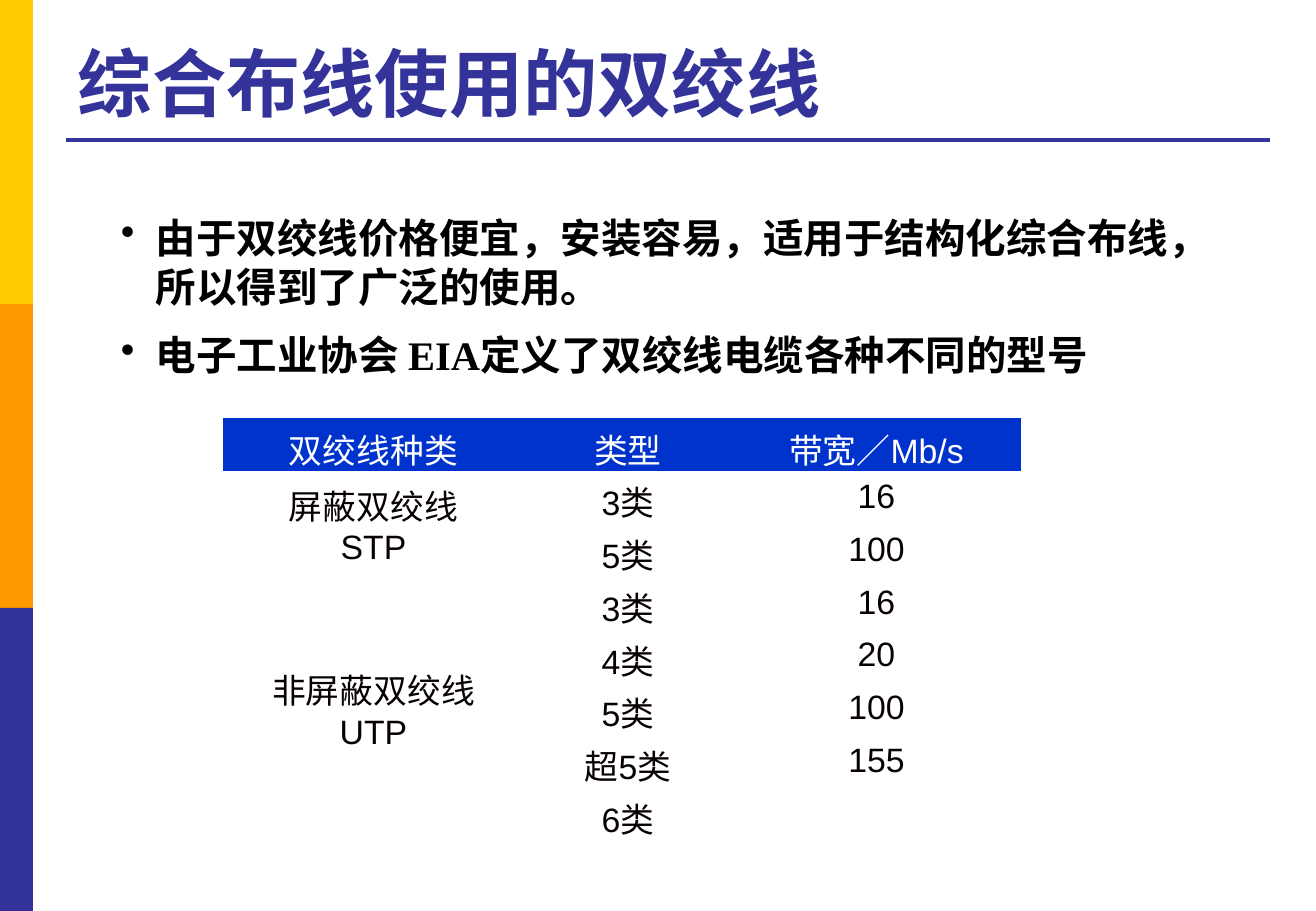
from lxml import etree
from pptx import Presentation
from pptx.dml.color import RGBColor
from pptx.enum.shapes import MSO_CONNECTOR, MSO_SHAPE
from pptx.enum.text import MSO_ANCHOR, PP_ALIGN
from pptx.oxml.ns import qn
from pptx.util import Emu, Pt

RECTANGLE = MSO_SHAPE.RECTANGLE
STRAIGHT = MSO_CONNECTOR.STRAIGHT
MIDDLE, BOTTOM = MSO_ANCHOR.MIDDLE, MSO_ANCHOR.BOTTOM
CENTER = PP_ALIGN.CENTER
NO_GRID_STYLE = "{2D5ABB26-0587-4C30-8999-92F81FD0307C}"
EMU_PER_PX = 914400 / 121.5
NAVY = "333399"


def px(*lengths):
    return [Emu(round(length * EMU_PER_PX)) for length in lengths]


def write(para, text, color, **font_values):
    para.text = text
    for span in para.runs:
        span.font.color.rgb = RGBColor.from_string(color)
        for name, value in font_values.items():
            setattr(span.font, name, value)


deck = Presentation()
deck.slide_width, deck.slide_height = px(1316, 911)
page = deck.slides.add_slide(deck.slide_layouts[6])
shapes = page.shapes

# Colour bands at the left edge
for index, color in enumerate(["FFCC00", "FF9900", NAVY]):
    band = shapes.add_shape(RECTANGLE, *px(0, index * 304, 33, 304 if index < 2 else 303))
    band.shadow.inherit = False
    band.fill.solid()
    band.fill.fore_color.rgb = RGBColor.from_string(color)
    band.line.fill.background()

# Rule under the title
rule = shapes.add_connector(STRAIGHT, *px(66, 140, 1270, 140))
rule.line.color.rgb = RGBColor.from_string(NAVY)
rule.line.width = Pt(2.25)
etree.SubElement(rule._element.spPr, qn("a:effectLst"))

# Title
title = shapes.add_textbox(*px(66, 26, 1204, 106)).text_frame
title.word_wrap = True
title.vertical_anchor = BOTTOM
write(title.paragraphs[0], "综合布线使用的双绞线", NAVY, name="Arial", size=Pt(44), bold=True)

# Bullets
points = [
    "由于双绞线价格便宜，安装容易，适用于结构化综合布线，所以得到了广泛的使用。",
    "电子工业协会 EIA定义了双绞线电缆各种不同的型号",
]
body = shapes.add_textbox(*px(109, 207, 1098, 183)).text_frame
body.word_wrap = True
indent, = px(35)
for index, point in enumerate(points):
    para = body.add_paragraph() if index else body.paragraphs[0]
    write(para, point, "000000", name="Times New Roman", size=Pt(24), bold=True)
    para.space_before = Pt(12)
    properties = para._p.get_or_add_pPr()
    properties.set("marL", str(indent))
    properties.set("indent", str(-indent))
    etree.SubElement(properties, qn("a:buChar"), char="•")

# Cable table
rows = [
    ["双绞线种类", "类型", "带宽／Mb/s"],
    ["屏蔽双绞线\nSTP", "3类", "16"],
    ["", "5类", "100"],
    ["非屏蔽双绞线\nUTP", "3类", "16"],
    ["", "4类", "20"],
    ["", "5类", "100"],
    ["", "超5类", "155"],
    ["", "6类", ""],
]
frame = shapes.add_table(len(rows), 3, *px(223, 418, 798, 422))
table = frame.table
table._tbl.tblPr.find(qn("a:tableStyleId")).text = NO_GRID_STYLE
for column, width in zip(table.columns, px(301, 208, 289)):
    column.width = width
for first, last in [(1, 2), (3, 7)]:
    table.cell(first, 0).merge(table.cell(last, 0))

side, edge = px(13, 6)
cell_format = dict(vertical_anchor=MIDDLE, margin_left=side, margin_right=side,
                   margin_top=edge, margin_bottom=edge)
for row_index, row in enumerate(rows):
    for column_index, text in enumerate(row):
        cell = table.cell(row_index, column_index)
        for name, value in cell_format.items():
            setattr(cell, name, value)
        if row_index == 0:
            cell.fill.solid()
            cell.fill.fore_color.rgb = RGBColor.from_string("0033CC")
        else:
            cell.fill.background()
        para = cell.text_frame.paragraphs[0]
        para.alignment = CENTER
        write(para, text, "080001" if row_index else "FFFFFF", name="Arial", size=Pt(20))

deck.save("out.pptx")
